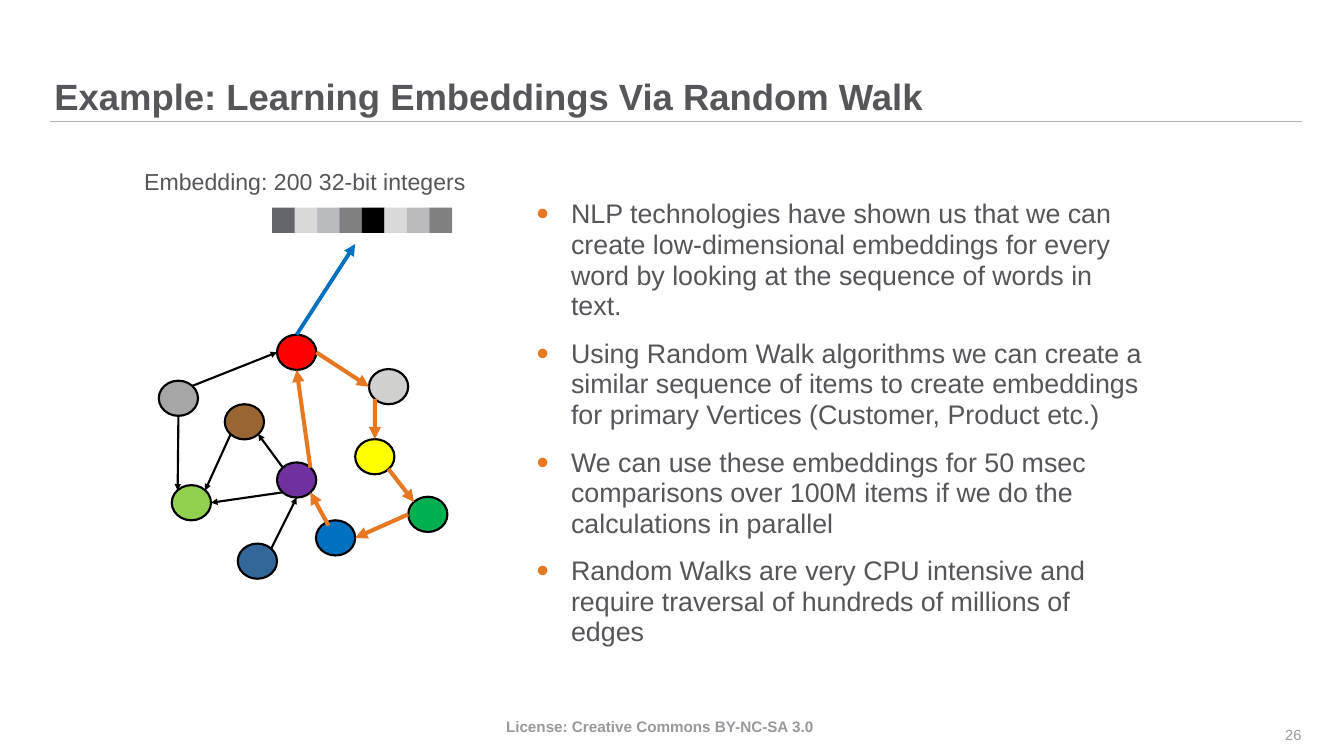
from lxml import etree
from pptx import Presentation
from pptx.dml.color import RGBColor
from pptx.enum.shapes import MSO_CONNECTOR, MSO_SHAPE
from pptx.enum.text import MSO_ANCHOR, PP_ALIGN
from pptx.oxml.ns import qn
from pptx.util import Cm, Pt

STRAIGHT = MSO_CONNECTOR.STRAIGHT
OVAL, RECT = MSO_SHAPE.OVAL, MSO_SHAPE.RECTANGLE
TOP, MIDDLE, BOTTOM = MSO_ANCHOR.TOP, MSO_ANCHOR.MIDDLE, MSO_ANCHOR.BOTTOM
LEFT, CENTER, RIGHT = PP_ALIGN.LEFT, PP_ALIGN.CENTER, PP_ALIGN.RIGHT
rgb = RGBColor.from_string
TEXT, ORANGE, BLACK, BLUE = "55565A", "E87722", "000000", "0070C0"

prs = Presentation()
prs.slide_width, prs.slide_height = Cm(49.68), Cm(27.94)
s = prs.slides.add_slide(prs.slide_layouts[6])


def add_text(box, lines, size, color, bold=False, align=LEFT, anchor=TOP, inset=True, wrap=True):
    tf = s.shapes.add_textbox(*[Cm(v) for v in box]).text_frame
    tf.word_wrap = wrap
    tf.vertical_anchor = anchor
    if not inset:
        tf.margin_left = tf.margin_top = tf.margin_right = tf.margin_bottom = 0
    tf.text = "\n".join(lines)
    for p in tf.paragraphs:
        p.alignment = align
        for r in p.runs:
            r.font.name, r.font.size, r.font.bold = "Arial", Pt(size), bold
            r.font.color.rgb = rgb(color)
    return tf


def add_line(start, end, color, width, arrow=True):
    c = s.shapes.add_connector(STRAIGHT, *[Cm(v) for v in (*start, *end)])
    c.line.color.rgb = rgb(color)
    c.line.width = Pt(width)
    if arrow:
        etree.SubElement(c.line._get_or_add_ln(), qn("a:tailEnd"), type="triangle")
    etree.SubElement(c._element.spPr, qn("a:effectLst"))


add_line((1.85, 4.5), (48.11, 4.5), "B1B3B3", 1, arrow=False)
add_text((14.6, 26.39, 19.58, 0.94), ["License: Creative Commons BY-NC-SA 3.0"],
         16, "98999D", bold=True, align=CENTER)
title = add_text((2.01, 0, 46.1, 4.37), ["Example: Learning Embeddings Via Random Walk"],
                 38.2, TEXT, bold=True, anchor=BOTTOM, inset=False)
title.paragraphs[0].line_spacing = 0.9
add_text((45.9, 26.42, 2.21, 1.5), ["26"], 15.3, "999A9B", align=RIGHT, anchor=MIDDLE, inset=False)

points = [
    "NLP technologies have shown us that we can create low-dimensional embeddings "
    "for every word by looking at the sequence of words in text.",
    "Using Random Walk algorithms we can create a similar sequence of items to create "
    "embeddings for primary Vertices (Customer, Product etc.)",
    "We can use these embeddings for 50 msec comparisons over 100M items if we do the "
    "calculations in parallel",
    "Random Walks are very CPU intensive and require traversal of hundreds of millions of edges",
]
body = add_text((19.84, 7.37, 22.61, 17.2), points, 28.1, TEXT, inset=False)
for i, p in enumerate(body.paragraphs):
    pPr = p._p.get_or_add_pPr()
    pPr.set("marL", str(Cm(1.27)))
    pPr.set("indent", str(-Cm(1.27)))
    etree.SubElement(etree.SubElement(pPr, qn("a:buClr")), qn("a:srgbClr"), val=ORANGE)
    etree.SubElement(pPr, qn("a:buSzPct"), val="130000")
    etree.SubElement(pPr, qn("a:buFont"), typeface="Arial")
    etree.SubElement(pPr, qn("a:buChar"), char="•")
    p.line_spacing = 0.95
    p.space_before = Pt(10.2 if i else 0)
    p.space_after = Pt(7.7)

NODE_W, NODE_H = 1.45, 1.3
nodes = {
    "red": (10.24, 12.37, "FF0000"),
    "brown": (8.31, 14.94, "996633"),
    "purple": (10.24, 17.09, "7030A0"),
    "silver": (13.64, 13.64, "D0D0CE"),
    "yellow": (13.13, 16.23, "FFFF00"),
    "lime": (6.35, 17.93, "92D050"),
    "blue": (11.68, 19.23, BLUE),
    "gray": (5.87, 14.07, "A6A6A6"),
    "green": (15.09, 18.36, "00B050"),
    "navy": (8.79, 20.09, "336699"),
}
sites = {
    "top": (0.5, 0), "bottom": (0.5, 1), "left": (0, 0.5), "right": (1, 0.5),
    "top left": (0.15, 0.15), "top right": (0.85, 0.15),
    "bottom left": (0.15, 0.85), "bottom right": (0.85, 0.85),
    "upper": (0.32, 0.15),
}
points_at = {(name, site): (x + NODE_W * fx, y + NODE_H * fy)
             for name, (x, y, _) in nodes.items() for site, (fx, fy) in sites.items()}

for x, y, color in nodes.values():
    sp = s.shapes.add_shape(OVAL, Cm(x), Cm(y), Cm(NODE_W), Cm(NODE_H))
    sp.shadow.inherit = False
    sp.fill.solid()
    sp.fill.fore_color.rgb = rgb(color)
    sp.line.color.rgb = rgb(BLACK)
    sp.line.width = Pt(2.25)

edges = [
    (("gray", "top right"), ("red", "left")),
    (("purple", "top left"), ("brown", "bottom right")),
    (("brown", "bottom left"), ("lime", "top right")),
    (("gray", "bottom"), ("lime", "top left")),
    (("purple", "bottom left"), ("lime", "right")),
    (("navy", "top right"), ("purple", "bottom")),
]
walk = [
    (("red", "right"), ("silver", "left")),
    (("silver", "bottom left"), ("yellow", "top")),
    (("yellow", "bottom right"), ("green", "top left")),
    (("green", "left"), ("blue", "right")),
    (("blue", "upper"), ("purple", "bottom right")),
    (("purple", "top right"), ("red", "bottom")),
]
for links, color, width in ((edges, BLACK, 2.25), (walk, ORANGE, 4.25)):
    for start, end in links:
        add_line(points_at[start], points_at[end], color, width)

shades = ["63666A", "D9D9D9", "BABBBE", "808080", BLACK, "D9D9D9", "BABBBE", "808080"]
for i, shade in enumerate(shades):
    sp = s.shapes.add_shape(RECT, Cm(10.06 + 0.83 * i), Cm(7.67), Cm(0.84), Cm(0.94))
    sp.shadow.inherit = False
    sp.fill.solid()
    sp.fill.fore_color.rgb = rgb(shade)
    sp.line.fill.background()

add_text((5.08, 6.07, 12.52, 1.3), ["Embedding: 200 32-bit integers"], 24.2, TEXT, wrap=False)
add_line(points_at["red", "top"], (13.13, 9.02), BLUE, 4)

prs.save("out.pptx")
